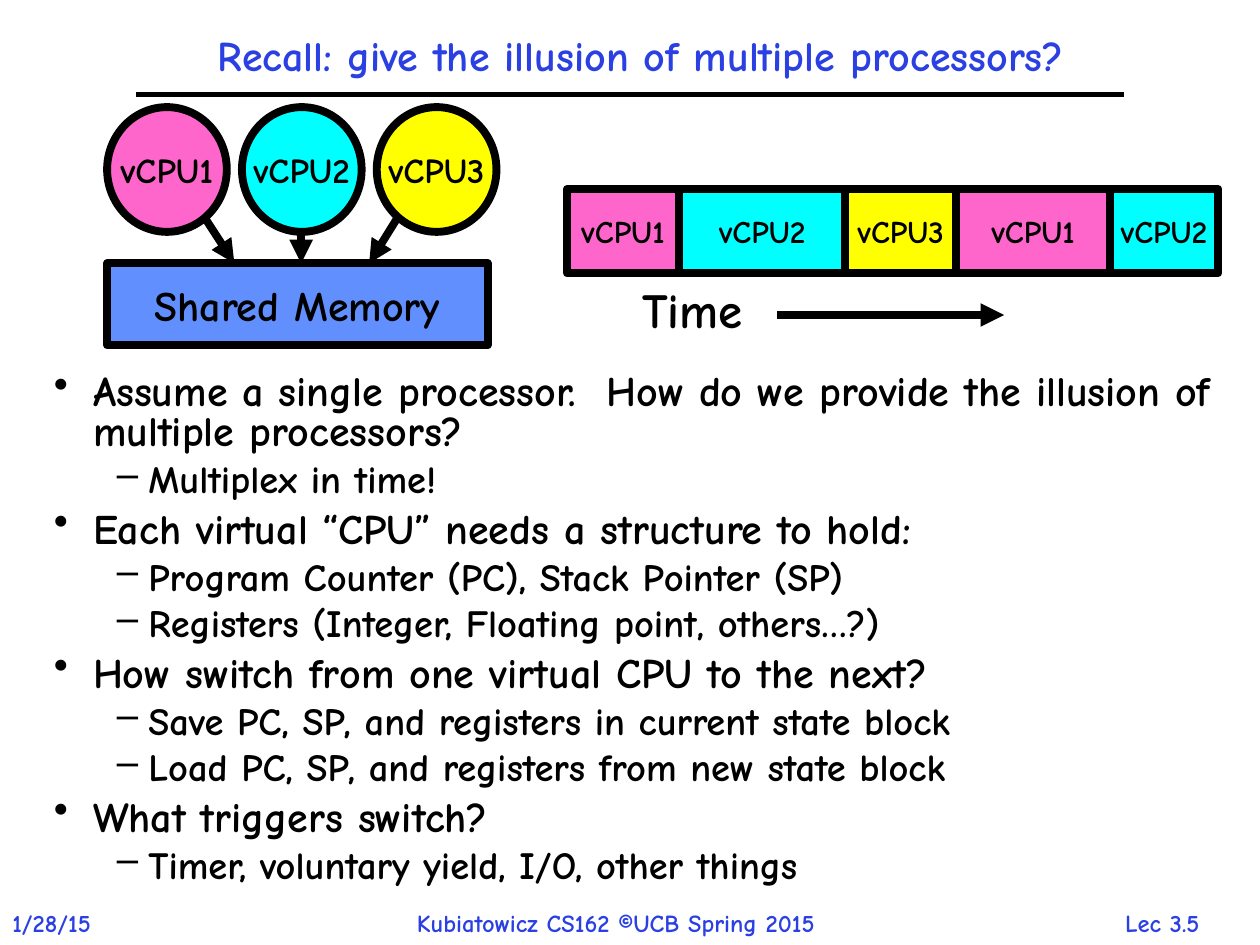
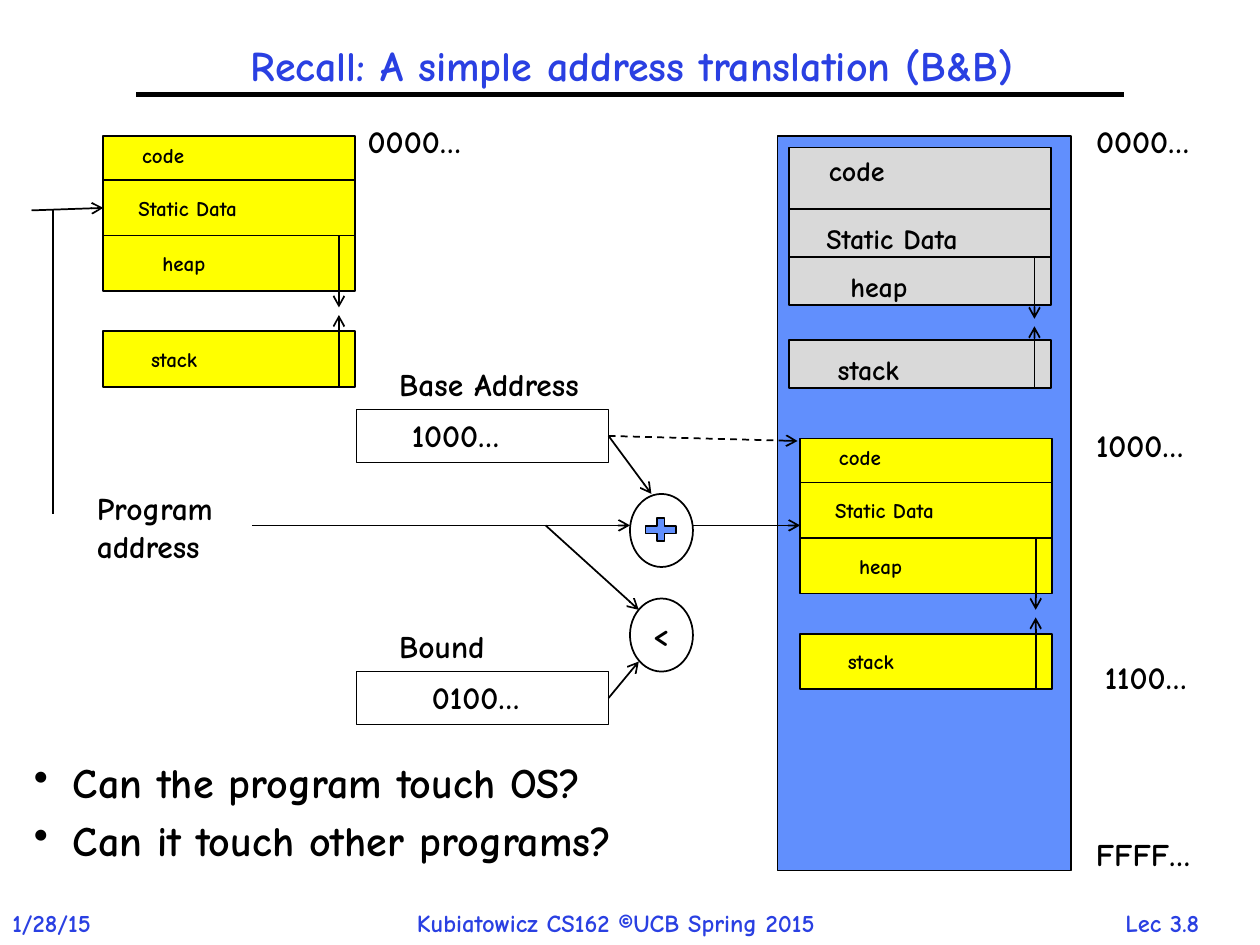
"""Build two lecture slides on virtual processors and address translation."""
import lxml.etree
import pptx
import pptx.dml.color
import pptx.enum.dml
import pptx.enum.shapes
import pptx.enum.text
import pptx.oxml.ns
import pptx.util

Inches = pptx.util.Inches
KIND = pptx.enum.shapes.MSO_SHAPE
ALIGN = pptx.enum.text.PP_ALIGN
MID = pptx.enum.text.MSO_ANCHOR.MIDDLE
FIT = pptx.enum.text.MSO_AUTO_SIZE
qn = pptx.oxml.ns.qn

FONT = "Comic Neue"
INK, NAVY, BLUE = "000000", "2A40E2", "618FFD"
PINK, CYAN, GOLD, GREY = "FF66CC", "00FFFF", "FFFF00", "D9D9D9"
HUES = {"vCPU1": PINK, "vCPU2": CYAN, "vCPU3": GOLD}

DATE, COURSE = "1/28/15", "Kubiatowicz CS162 ©UCB Spring 2015"
MARKS = {0: ("•", 0.31, -0.31, 24), 1: ("–", 0.75, -0.25, 22)}

TITLE1 = "Recall: give the illusion of multiple processors?"
POINTS1 = [
    (0, "Assume a single processor.  How do we provide the illusion of multiple processors?"),
    (1, "Multiplex in time!"),
    (0, "Each virtual “CPU” needs a structure to hold:"),
    (1, "Program Counter (PC), Stack Pointer (SP)"),
    (1, "Registers (Integer, Floating point, others…?)"),
    (0, "How switch from one virtual CPU to the next?"),
    (1, "Save PC, SP, and registers in current state block"),
    (1, "Load PC, SP, and registers from new state block"),
    (0, "What triggers switch?"),
    (1, "Timer, voluntary yield, I/O, other things"),
]
TURNS = [("vCPU1", 0.89), ("vCPU2", 1.32), ("vCPU3", 0.88), ("vCPU1", 1.22), ("vCPU2", 0.86)]
FEEDS = [((1.62, 1.72), (1.86, 2.09)), ((2.39, 1.84), (2.39, 2.09)), ((3.16, 1.72), (2.93, 2.09))]

TITLE2 = "Recall: A simple address translation (B&B)"
POINTS2 = [(0, "Can the program touch OS?"), (0, "Can it touch other programs?")]
PARTS = ["code", "Static Data", "heap", "stack"]
SMALL = {"wide": 2, "tops": (0, 0.35, 0.79, 1.55), "highs": (0.35, 0.44, 0.44, 0.44),
         "ins": (0.21, 0.18, 0.37, 0.28), "drop": 0.07, "lane": 1.87, "hue": GOLD, "size": 12}
LARGE = {"wide": 2.08, "tops": (0, 0.49, 0.87, 1.53), "highs": (0.49, 0.38, 0.38, 0.38),
         "ins": (0.22, 0.2, 0.39, 0.29), "drop": 0.05, "lane": 1.95, "hue": GREY, "size": 16}
BLOCKS = [(6.26, 1.17, LARGE), (6.35, 3.48, SMALL), (0.82, 1.08, SMALL)]
LABELS = [
    ("0000…", 8.6, 0.92, 1.02), ("1000…", 8.6, 3.33, 1.02), ("1100…", 8.67, 5.17, 1),
    ("FFFF…", 8.6, 6.58, 1.07), ("0000…", 2.82, 0.92, 1.02),
    ("Base Address", 3.07, 2.85, 1.76), ("1000…", 3.17, 3.25, 1.02),
    ("Bound", 3.07, 4.93, 1.09), ("0100…", 3.33, 5.33, 1.02), ("<", 5.08, 4.83, 0.35),
    ("Program\naddress", 0.67, 3.83, 1.17),
]
FORMS = [
    (KIND.RECTANGLE, (2.83, 3.25, 2, 0.42), None), (KIND.RECTANGLE, (2.83, 5.33, 2, 0.42), None),
    (KIND.MATH_PLUS, (5.08, 4.08, 0.33, 0.25), BLUE),
    (KIND.OVAL, (5, 3.92, 0.5, 0.58), None), (KIND.OVAL, (5, 4.75, 0.5, 0.58), None),
]
FLOWS = [
    ((2, 4.17), (5, 4.17)), ((5.5, 4.17), (6.35, 4.17)), ((0.25, 1.67), (0.82, 1.65)),
    ((4.83, 3.46), (5.17, 3.92)), ((4.33, 4.17), (5.07, 4.84)), ((4.83, 5.54), (5.07, 5.25)),
]


def tint(code):
    """Turn a hex string into a colour."""
    return pptx.dml.color.RGBColor.from_string(code)


def put(item, vals):
    """Set attributes from a dict of format values."""
    for name, val in vals.items():
        setattr(item, name, val)


def style(para, size, hue=INK, **vals):
    """Format a paragraph and its font."""
    put(para, vals)
    put(para.font, {"name": FONT, "size": pptx.util.Pt(size), "bold": True})
    para.font.color.rgb = tint(hue)


def place(item, box):
    """Move an item to a box in inches."""
    put(item, dict(zip(("left", "top", "width", "height"), map(Inches, box))))


def label(slide, text, box, size=18, hue=INK, align=ALIGN.LEFT):
    """Add unwrapped text."""
    frame = slide.shapes.add_textbox(*map(Inches, box)).text_frame
    put(frame, {"text": text, "word_wrap": False, "auto_size": FIT.SHAPE_TO_FIT_TEXT})
    for para in frame.paragraphs:
        style(para, size, hue, alignment=align)


def form(slide, kind, box, hue=None, width=1, text="", size=18):
    """Add an outlined shape with optional centred text."""
    shape = slide.shapes.add_shape(kind, *map(Inches, box))
    shape.shadow.inherit = False
    if hue:
        shape.fill.solid()
        shape.fill.fore_color.rgb = tint(hue)
    else:
        shape.fill.background()
    shape.line.color.rgb = tint(INK)
    shape.line.width = pptx.util.Pt(width)
    if text:
        put(shape.text_frame, {"text": text, "word_wrap": False, "vertical_anchor": MID})
        style(shape.text_frame.paragraphs[0], size, alignment=ALIGN.CENTER)


def link(slide, start, end, width=1, head="arrow", dash=None):
    """Add a line with an optional arrowhead."""
    line = slide.shapes.add_connector(
        pptx.enum.shapes.MSO_CONNECTOR.STRAIGHT, *map(Inches, (*start, *end)))
    line.line.color.rgb = tint(INK)
    put(line.line, {"width": pptx.util.Pt(width), "dash_style": dash})
    props = line.element.spPr
    if head:
        lxml.etree.SubElement(props.find(qn("a:ln")), qn("a:tailEnd"), type=head)
    lxml.etree.SubElement(props, qn("a:effectLst"))


def bullets(slide, points, box, pitch, gap):
    """Add a bulleted list."""
    frame = slide.shapes.add_textbox(*map(Inches, box)).text_frame
    put(frame, {"word_wrap": True, "text": "\n".join(text for _, text in points)})
    for para, (level, _) in zip(frame.paragraphs, points):
        mark, left, hang, size = MARKS[level]
        style(para, size, level=level, line_spacing=pitch, space_before=pptx.util.Pt(gap * size))
        props = para._p.get_or_add_pPr()
        props.set("marL", str(Inches(left)))
        props.set("indent", str(Inches(hang)))
        lxml.etree.SubElement(props, qn("a:buChar"), char=mark)


def start(deck, title, box, page):
    """Add a slide with its title, rule and footers."""
    slide = deck.slides.add_slide(deck.slide_layouts[5])
    head = slide.shapes.title
    place(head, box)
    put(head.text_frame, {"text": title, "vertical_anchor": MID, "word_wrap": True,
                          "auto_size": FIT.NONE})
    style(head.text_frame.paragraphs[0], 24, NAVY, alignment=ALIGN.CENTER, line_spacing=0.9)
    link(slide, (1.08, 0.75), (8.92, 0.75), 3, None)
    label(slide, DATE, (0, 7.16, 1, 0.34), 14, NAVY)
    label(slide, COURSE, (3.21, 7.16, 3.87, 0.34), 14, NAVY)
    label(slide, page, (8.62, 7.16, 1.21, 0.33), 14, NAVY, ALIGN.CENTER)
    return slide


def share(deck):
    """Build the slide on sharing one processor."""
    slide = start(deck, TITLE1, (0.5, 0.17, 9.17, 0.58), "Lec 3.5")
    for i, (name, hue) in enumerate(HUES.items()):
        form(slide, KIND.OVAL, (0.85 + 1.07 * i, 0.85, 0.95, 0.99), hue, 4.5, name, 20)
    form(slide, KIND.RECTANGLE, (0.85, 2.09, 3.02, 0.65), BLUE, 4.5, "Shared Memory", 24)
    for tail, tip in FEEDS:
        link(slide, tail, tip, 4.5, "triangle")
    left = 4.5
    for name, wide in TURNS:
        form(slide, KIND.RECTANGLE, (left, 1.5, wide, 0.67), HUES[name], 4.5, name)
        left += wide
    label(slide, "Time", (5, 2.17, 1.28, 0.57), 28)
    link(slide, (6.17, 2.5), (7.97, 2.5), 4.5, "triangle")
    bullets(slide, POINTS1, (0.33, 2.92, 9.42, 4.33), 0.8, 0.25)


def block(slide, left, top, look):
    """Draw one program's memory, with heap and stack growing together."""
    tops, highs = look["tops"], look["highs"]
    for i, name in enumerate(PARTS):
        y = top + tops[i]
        form(slide, KIND.RECTANGLE, (left, y, look["wide"], highs[i]), look["hue"])
        drop = look["drop"] if i else 0
        label(slide, name, (left + look["ins"][i], y + drop, 1.48, 0.29), look["size"])
    lane = left + look["lane"]
    link(slide, (lane, top + tops[3] + highs[3]), (lane, top + 1.42))
    link(slide, (lane, top + tops[2]), (lane, top + 1.36))


def remap(deck):
    """Build the slide on base and bound translation."""
    slide = start(deck, TITLE2, (0.75, 0.25, 8.53, 0.58), "Lec 3.8")
    bullets(slide, POINTS2, (0.17, 6, 5.83, 1.25), 0.9, 0.3)
    form(slide, KIND.RECTANGLE, (6.17, 1.08, 2.33, 5.83), BLUE)
    for spot in BLOCKS:
        block(slide, *spot)
    for item in FORMS:
        form(slide, *item)
    for text, left, top, wide in LABELS:
        label(slide, text, (left, top, wide, 0.4))
    for tail, tip in FLOWS:
        link(slide, tail, tip)
    link(slide, (4.83, 3.46), (6.33, 3.5), dash=pptx.enum.dml.MSO_LINE.DASH)
    link(slide, (0.42, 1.67), (0.42, 4.08), head=None)


def main():
    """Build and save the deck."""
    deck = pptx.Presentation()
    put(deck, {"slide_width": Inches(10), "slide_height": Inches(7.5)})
    share(deck)
    remap(deck)
    deck.save("out.pptx")


if __name__ == "__main__":
    main()
